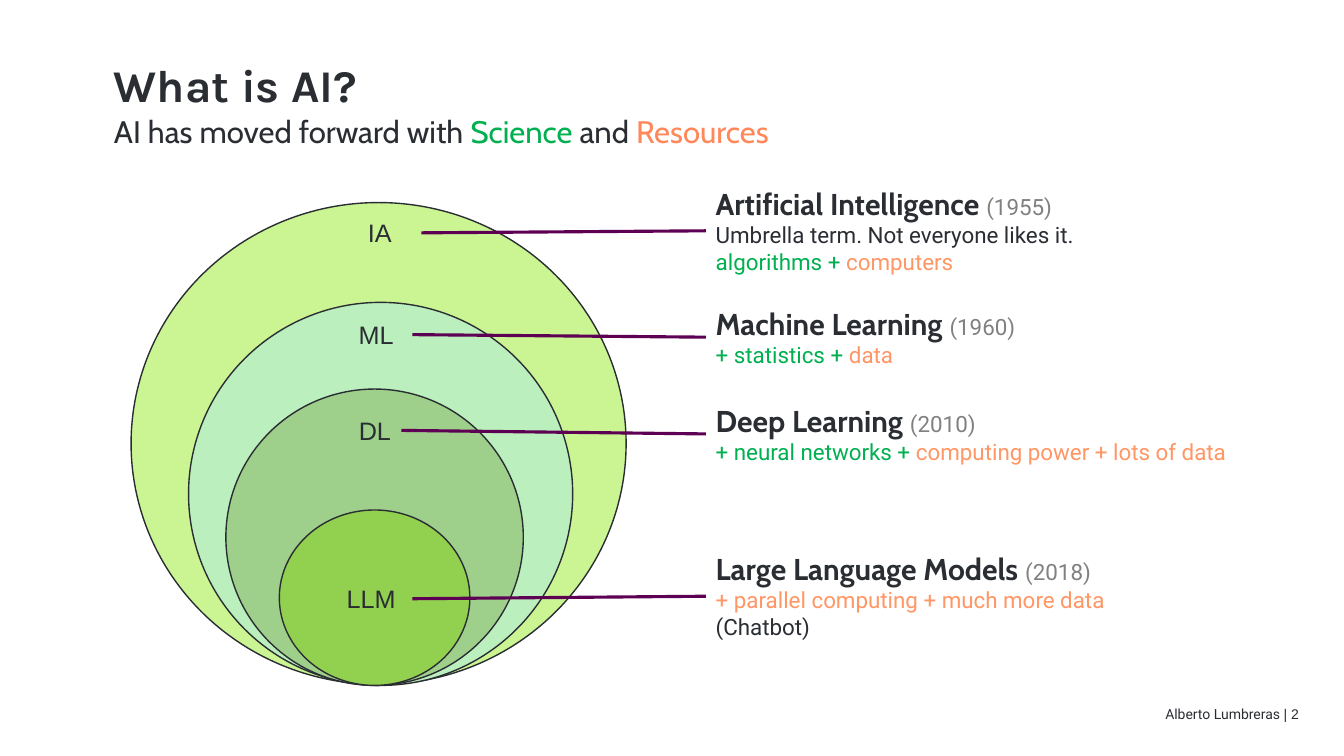
from pptx import Presentation
from pptx.dml.color import RGBColor
from pptx.enum.shapes import MSO_CONNECTOR, MSO_SHAPE
from pptx.enum.text import MSO_ANCHOR, MSO_AUTO_SIZE, PP_ALIGN
from pptx.oxml.ns import qn
from pptx.util import Inches, Pt
from lxml.etree import SubElement

COLORS = {
    "ink": "2A2E33", "science": "00B050", "accent": "FF8759",
    "resources": "FF9665", "year": "808080", "line": "5D0054",
    "ai": "CBF593", "ml": "BCEFBE", "dl": "9ED08B", "llm": "92D050",
}
RIGHT, LEFT = 3, 1


def color(name):
    return RGBColor.from_string(COLORS[name])


class SlideBuilder:
    """Holds the slide and draws its elements in one style."""

    def __init__(self, slide):
        self.slide = slide

    def fill_text(self, shape, lines, margin=None, anchor=MSO_ANCHOR.TOP,
                  align=PP_ALIGN.LEFT, line_spacing=1.0):
        """Each line is a list of runs: (text, font, size, colour, bold)."""
        frame = shape.text_frame
        frame.word_wrap = True
        frame.auto_size = MSO_AUTO_SIZE.NONE
        frame.vertical_anchor = anchor
        if margin is not None:
            frame.margin_left = frame.margin_right = Inches(margin)
            frame.margin_top = frame.margin_bottom = Inches(margin)
        for index, runs in enumerate(lines):
            paragraph = frame.add_paragraph() if index else frame.paragraphs[0]
            paragraph.alignment = align
            paragraph.line_spacing = line_spacing
            paragraph.space_before = Pt(0)
            for text, font, size, color_name, bold in runs:
                run = paragraph.add_run()
                run.text = text
                run.font.name = font
                run.font.size = Pt(size)
                run.font.bold = bold
                run.font.color.rgb = color(color_name)

    def placeholder(self, shape, box, runs, line_spacing=1.0):
        shape.left, shape.top, shape.width, shape.height = map(Inches, box)
        self.fill_text(shape, [runs], margin=0, line_spacing=line_spacing)
        properties = shape.text_frame.paragraphs[0]._p.get_or_add_pPr()
        properties.set("marL", "0")
        properties.set("indent", "0")
        SubElement(properties, qn("a:buNone"))

    def text(self, box, lines, **options):
        shape = self.slide.shapes.add_textbox(*map(Inches, box))
        self.fill_text(shape, lines, **options)
        return shape

    def ellipse(self, box, fill):
        shape = self.slide.shapes.add_shape(MSO_SHAPE.OVAL, *map(Inches, box))
        shape.shadow.inherit = False
        shape.fill.solid()
        shape.fill.fore_color.rgb = color(fill)
        shape.line.color.rgb = color("ink")
        shape.line.width = Pt(1)

    def join(self, label, description):
        connector = self.slide.shapes.add_connector(MSO_CONNECTOR.STRAIGHT, 0, 0, 0, 0)
        connector.begin_connect(label, RIGHT)
        connector.end_connect(description, LEFT)
        connector.line.color.rgb = color("line")
        connector.line.width = Pt(2.25)
        SubElement(connector._element.spPr, qn("a:effectLst"))


# Field: circle, fill, label, label box, heading, year, description box, detail lines
FIELDS = [
    ((1.3, 2.01, 4.91, 4.78), "ai", "IA", (3.55, 2.11, 0.63, 0.4),
     "Artificial Intelligence ", "(1955)", (7, 1.79, 4.91, 1),
     [[("Umbrella term. Not everyone likes it.", "ink")],
      [("algorithms + ", "science"), ("computers", "resources")]]),
    ((1.87, 3, 3.81, 3.8), "ml", "ML", (3.46, 3.12, 0.63, 0.4),
     "Machine Learning ", "(1960)", (7, 2.98, 4.3, 0.73),
     [[("+ statistics + ", "science"), ("data", "resources")]]),
    ((2.24, 3.86, 2.95, 2.94), "dl", "DL", (3.46, 4.07, 0.52, 0.4),
     "Deep Learning ", "(2010)", (7, 3.94, 5.6, 0.73),
     [[("+ neural networks + ", "science"),
       ("computing power + lots of data", "resources")]]),
    ((2.77, 5.06, 1.89, 1.74), "llm", "LLM", (3.34, 5.74, 0.75, 0.4),
     "Large Language Models ", "(2018)", (7, 5.41, 4.81, 1.01),
     [[("+ parallel computing + much more data", "resources")],
      [("(Chatbot)", "ink")]]),
]


def main():
    presentation = Presentation()
    presentation.slide_width = Inches(13.33)
    presentation.slide_height = Inches(7.5)
    slide = presentation.slides.add_slide(presentation.slide_layouts[1])
    builder = SlideBuilder(slide)

    # Title and subtitle
    builder.placeholder(slide.shapes.title, (1.13, 0.63, 11.08, 0.5),
                        [("What is AI?", "Karla", 32.4, "ink", True)],
                        line_spacing=0.9)
    subtitle = [("AI has moved forward with ", "ink"), ("Science", "science"),
                (" and ", "ink"), ("Resources", "accent")]
    builder.placeholder(slide.placeholders[1], (1.13, 1.12, 11.08, 0.39),
                        [(text, "Cabin", 22.2, name, False) for text, name in subtitle])

    # Nested circles, largest at the back
    for circle, fill, *_ in FIELDS:
        builder.ellipse(circle, fill)

    # Labels joined to their descriptions
    for _, _, label, label_box, heading, year, box, details in FIELDS:
        lines = [[(heading, "Cabin", 21.5, "ink", True),
                  (year, "Roboto", 16, "year", False)]]
        lines += [[(text, "Roboto", 16, name, False) for text, name in detail]
                  for detail in details]
        description = builder.text(box, lines)
        label_shape = builder.text(label_box, [[(label, "Arial", 18, "ink", False)]])
        builder.join(label_shape, description)

    # Footer
    builder.text((11.23, 6.88, 1.75, 0.4),
                 [[("Alberto Lumbreras ", "Roboto", 10, "ink", False),
                   ("| 2", "Arial", 10, "ink", False)]],
                 anchor=MSO_ANCHOR.MIDDLE, align=PP_ALIGN.RIGHT)

    presentation.save("out.pptx")


if __name__ == "__main__":
    main()
